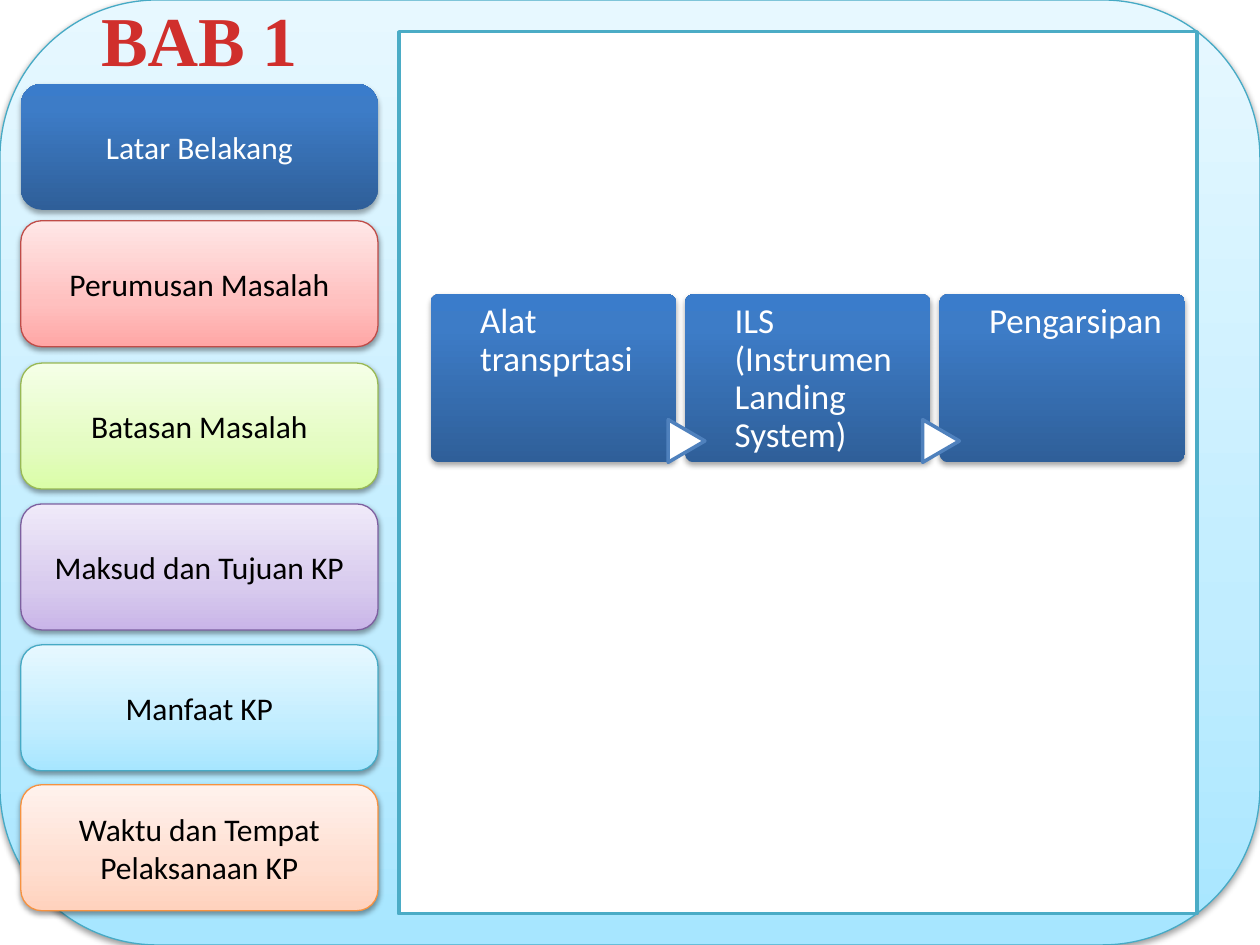
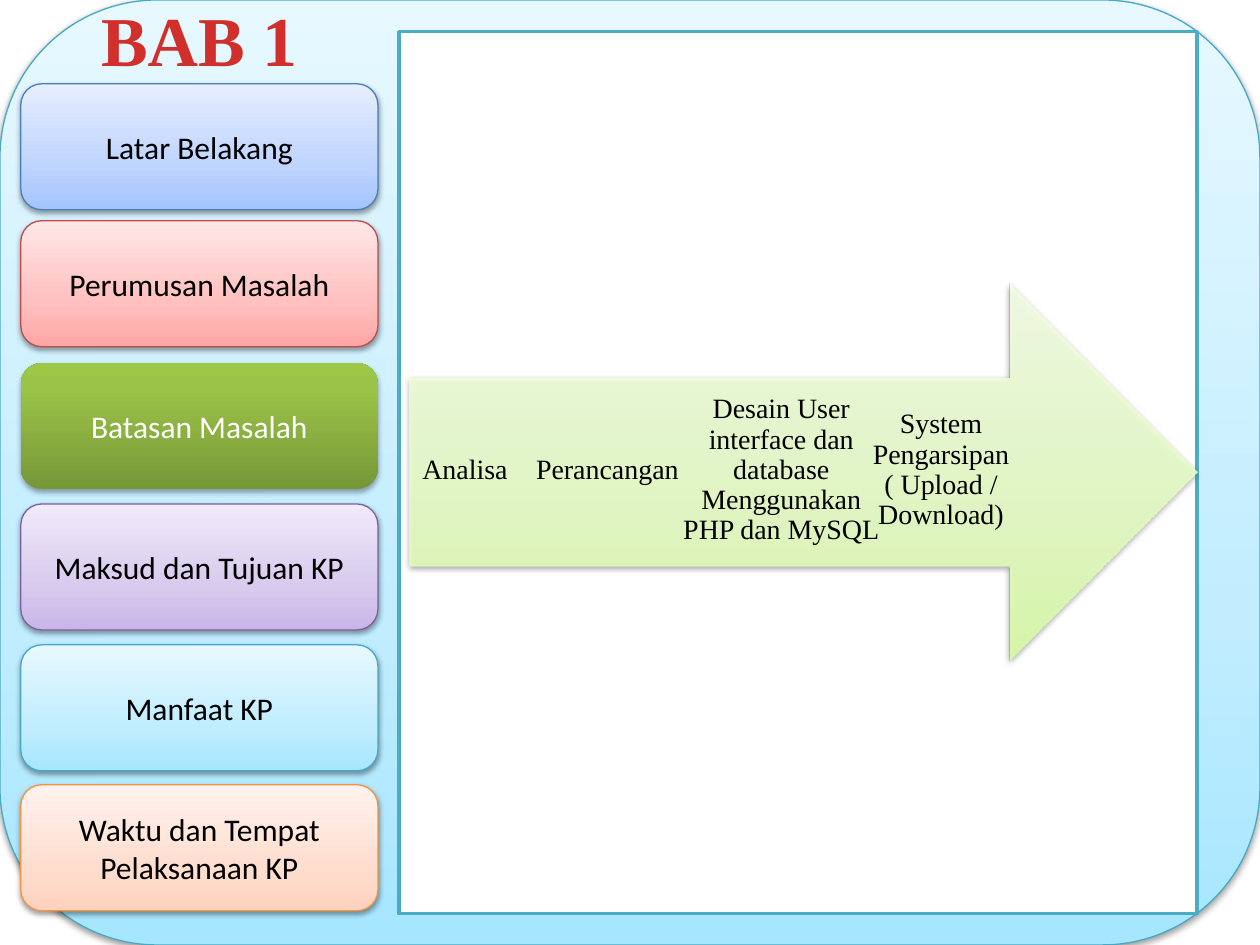
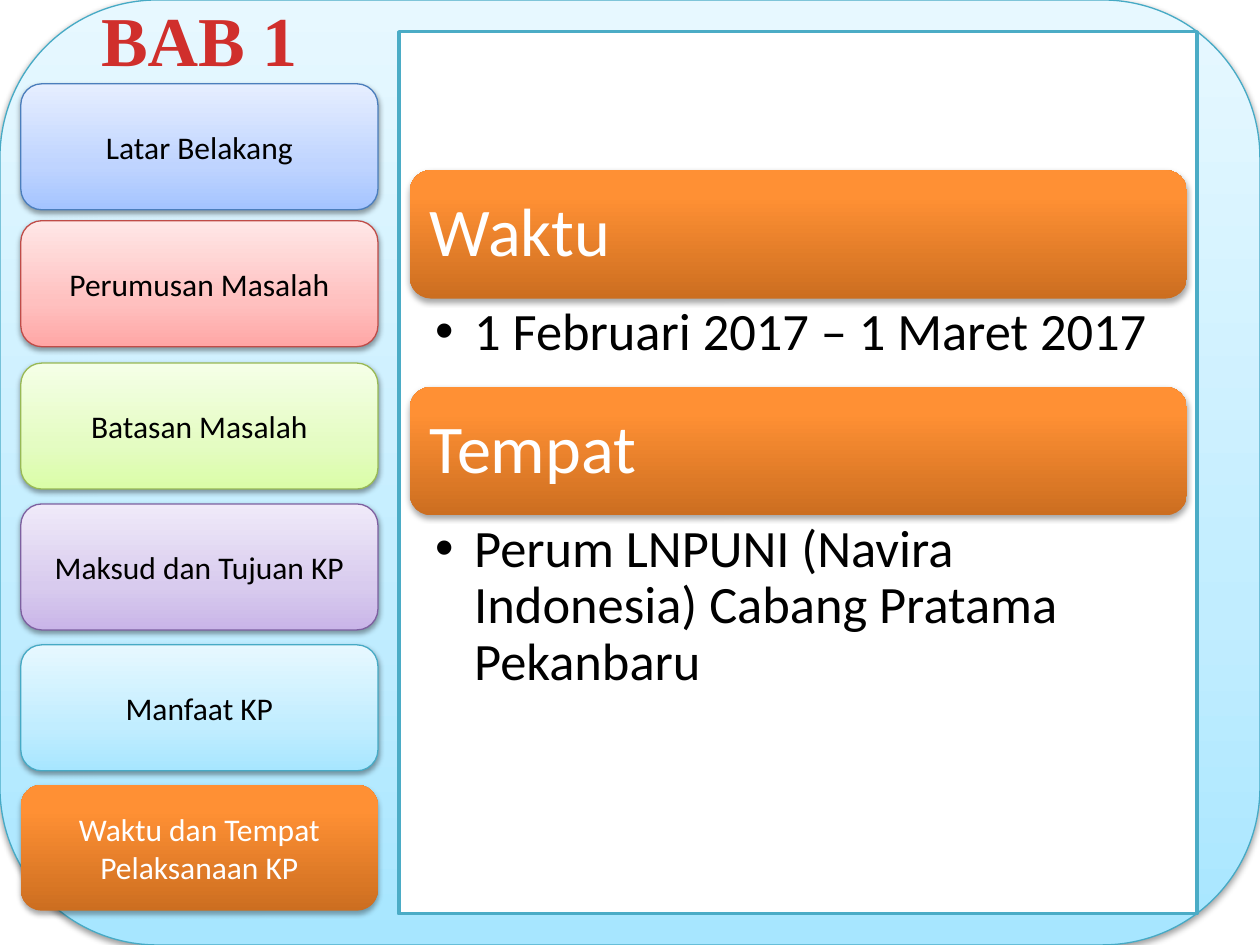
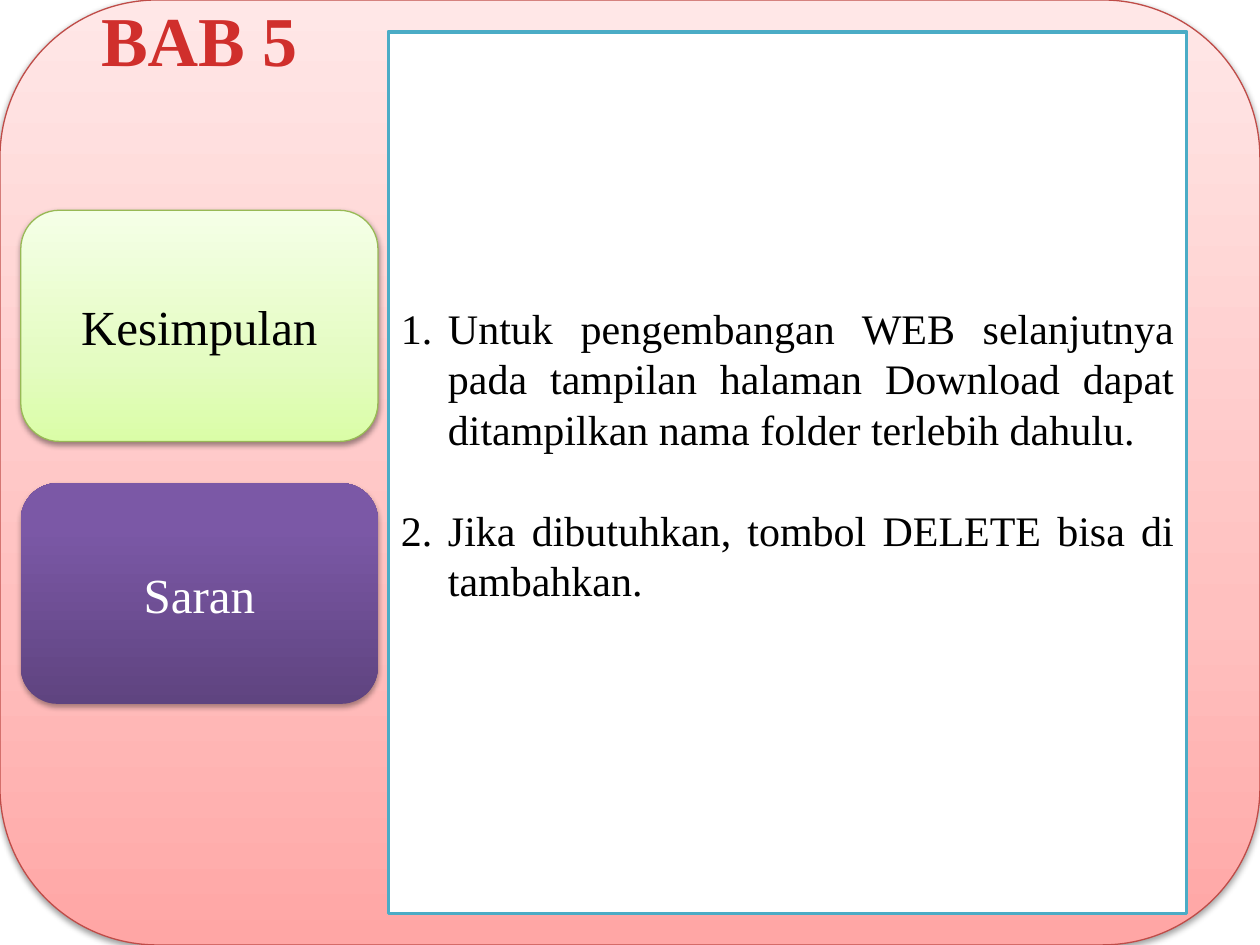
from pptx import Presentation
from pptx import util as u
from pptx.dml.color import RGBColor
from pptx.enum import shapes, text
from pptx.oxml import ns
from lxml import etree

SHAPE, ALIGN = shapes.MSO_SHAPE, text.PP_ALIGN
TOP, MIDDLE = text.MSO_ANCHOR.TOP, text.MSO_ANCHOR.MIDDLE
SANS, SERIF = "Calibri", "Times New Roman"

# Colours: soft gradients run over 0/35/100 %, strong ones over 0/80/100 %
COLOR = {"black": "000000", "white": "FFFFFF", "frame": "4BACC6", "arrow": "4F81BD"}
SOFT = {
    "blue": ("A4C4FF", "BFD4FF", "E6EEFF"),
    "red": ("FFA6A5", "FFC0BF", "FFE7E7"),
    "green": ("DAFDA7", "E4FCC2", "F5FFE7"),
    "purple": ("C9B5E8", "D8CBEE", "F0EAF9"),
    "aqua": ("A7E6FF", "C1EDFF", "E7F8FF"),
    "orange": ("FFD2BD", "FFDED0", "FFF2ED"),
}
STRONG = {
    "blue": ("2F5F99", "3D7CC7", "3A7CCB"),
    "green": ("779737", "9BC348", "9DC746"),
    "purple": ("5F4480", "7B58A6", "7C57A8"),
    "orange": ("CC6E20", "FF9034", "FF9136"),
}
OUTLINE = {"blue": "4B7EBC", "red": "BF4C48", "green": "98B955",
           "purple": "7D60A0", "aqua": "46AAC5", "orange": "F69240"}
TITLE_COLORS = ("FC7C7A", "D02F2C", "C70500")

# Content (positions in cm)
MENU_1 = [  # label, colour, top, height
    ("Latar Belakang", "blue", 1.69, 2.54),
    ("Perumusan Masalah", "red", 4.45, 2.54),
    ("Batasan Masalah", "green", 7.32, 2.54),
    ("Maksud dan Tujuan KP", "purple", 10.16, 2.54),
    ("Manfaat KP", "aqua", 13, 2.54),
    ("Waktu dan Tempat Pelaksanaan KP", "orange", 15.82, 2.54),
]
MENU_5 = [("Kesimpulan", "green", 4.24, 4.66), ("Saran", "purple", 9.74, 4.45)]
BACKGROUND_STEPS = ["Alat transprtasi", "ILS (Instrumen Landing System)", "Pengarsipan"]
SCOPE = [  # label, left, width
    ("Analisa", 8.36, 2.03),
    ("Perancangan", 10.72, 3.05),
    ("Desain User interface dan database Menggunakan PHP dan MySQL", 13.75, 4),
    ("System Pengarsipan ( Upload / Download)", 17.57, 2.8),
]
SCHEDULE = [  # heading, detail, top, height of detail
    ("Waktu", "1 Februari 2017 – 1 Maret 2017", 3.43, 1.8),
    ("Tempat", "Perum LNPUNI (Navira Indonesia) Cabang Pratama Pekanbaru", 7.8, 3.81),
]
SUGGESTIONS = [
    "Untuk pengembangan WEB selanjutnya pada tampilan halaman Download dapat "
    "ditampilkan nama folder terlebih dahulu.",
    "Jika dibutuhkan, tombol DELETE bisa di tambahkan.",
]

SLIDE_W, SLIDE_H = 25.4, 19.05
FRAME_TOP, FRAME_W, FRAME_H = 0.64, 16.09, 17.78
TITLE_ONLY, TITLE_BODY, TITLE_TWO_BODIES = 5, 1, 3


def sub(parent, tag, **attrs):
    return etree.SubElement(parent, ns.qn(tag), {k: str(v) for k, v in attrs.items()})


def gradient(fill, parent, colors, middle, angle, alpha=100):
    fill.gradient()
    grad = parent.find(ns.qn("a:gradFill"))
    for child in list(grad):
        grad.remove(child)
    stops = sub(grad, "a:gsLst")
    for pos, color in zip((0, middle, 100), colors):
        stop = sub(sub(stops, "a:gs", pos=pos * 1000), "a:srgbClr", val=color)
        if alpha < 100:
            sub(stop, "a:alpha", val=alpha * 1000)
    sub(grad, "a:lin", ang=angle * 60000, scaled=0)


def place(sp, left, top, width, height):
    sp.left, sp.top, sp.width, sp.height = map(u.Cm, (left, top, width, height))


def add(s, kind, *box):
    sp = s.shapes.add_shape(kind, *map(u.Cm, box))
    sp.shadow.inherit = False
    return sp


def outline(sp, color, width):
    sp.line.color.rgb = RGBColor.from_string(color)
    sp.line.width = u.Pt(width)


def solid(sp, fill, line):
    sp.fill.solid()
    sp.fill.fore_color.rgb = RGBColor.from_string(fill)
    outline(sp, line, 2)


def glossy(s, kind, box, name, strong=False, line=True, alpha=100):
    """Shape with a vertical gradient and a soft shadow below."""
    sp = add(s, kind, *box)
    spPr = sp.element.spPr
    colors, middle = (STRONG[name], 80) if strong else (SOFT[name], 35)
    gradient(sp.fill, spPr, colors, middle, 270, alpha)
    if line and not strong:
        outline(sp, OUTLINE[name], 0.75)
    else:
        sp.line.fill.background()
    shadow = sub(spPr.find(ns.qn("a:effectLst")), "a:outerShdw", blurRad=40000,
                 dist=23000 if strong else 20000, dir=5400000, rotWithShape=0)
    sub(sub(shadow, "a:srgbClr", val=COLOR["black"]), "a:alpha",
        val=35000 if strong else 38000)
    return sp


def write(sp, lines, size, font=SANS, color="black", align=ALIGN.LEFT, anchor=MIDDLE,
          margins=(0.25, 0.13, 0.25, 0.13), spacing=None, bullet=None, gap=0):
    tf = sp.text_frame
    tf.word_wrap = True
    tf.auto_size = text.MSO_AUTO_SIZE.NONE
    tf.vertical_anchor = anchor
    tf.margin_left, tf.margin_top, tf.margin_right, tf.margin_bottom = map(u.Cm, margins)
    for i, line in enumerate(lines):
        p = tf.add_paragraph() if i else tf.paragraphs[0]
        if bullet:
            tag, attrs, bullet_font, indent = bullet
            pPr = p._p.get_or_add_pPr()
            pPr.set("marL", str(u.Cm(indent)))
            pPr.set("indent", str(-u.Cm(indent)))
            sub(pPr, "a:buFont", typeface=bullet_font)
            sub(pPr, tag, **attrs)
        p.alignment = align
        p.space_before = u.Pt(gap if i else 0)
        if spacing:
            p.line_spacing = spacing
        r = p.add_run()
        r.text = line
        r.font.size, r.font.name = u.Pt(size), font
        r.font.color.rgb = RGBColor.from_string(COLOR[color])


def chapter_slide(prs, layout, title, theme, menu, active, size, font, frame_left=None):
    """Backdrop, chapter title, side menu and white content frame."""
    s = prs.slides.add_slide(prs.slide_layouts[layout])
    back = [glossy(s, SHAPE.ROUNDED_RECTANGLE, (0, 0, SLIDE_W, SLIDE_H), theme)]
    if frame_left:
        frame = add(s, SHAPE.RECTANGLE, frame_left, FRAME_TOP, FRAME_W, FRAME_H)
        solid(frame, COLOR["white"], COLOR["frame"])
        back.append(frame)
    for i, sp in enumerate(back):  # behind the placeholders
        sp.element.getparent().insert(2 + i, sp.element)

    heading = s.shapes.title
    place(heading, 1.69, -0.2, 4.65, 1.96)
    write(heading, [title], 40, SERIF, align=ALIGN.CENTER, anchor=TOP)
    r = heading.text_frame.paragraphs[0].runs[0]
    r.font.bold = True
    gradient(r.font.fill, r._r.rPr, TITLE_COLORS, 75, 90)

    for label, color, top, height in menu:
        on = label == active
        sp = glossy(s, SHAPE.ROUNDED_RECTANGLE, (0.42, top, 7.2, height), color, on)
        write(sp, [label], size, font, "white" if on else "black", ALIGN.CENTER)
    return s


def chapter_1(prs, layout, active):
    return chapter_slide(prs, layout, "BAB 1", "aqua", MENU_1, active, 18, SANS, 8.04)


def background_slide(prs):
    s = chapter_1(prs, TITLE_ONLY, "Latar Belakang")
    pitch = 5.13
    for i, step in enumerate(BACKGROUND_STEPS):
        card = glossy(s, SHAPE.ROUNDED_RECTANGLE, (8.68 + i * pitch, 5.93, 4.95, 3.39),
                      "blue", strong=True)
        card.adjustments[0] = 0.05
        write(card, [step], 20, color="white", anchor=TOP,
              margins=(0.95, 0.14, 0.19, 0), spacing=0.9)
    for i in range(len(BACKGROUND_STEPS) - 1):
        arrow = add(s, SHAPE.FLOWCHART_EXTRACT, 13.41 + i * pitch, 8.52, 0.86, 0.74)
        arrow.rotation = 90
        solid(arrow, COLOR["white"], COLOR["arrow"])


def scope_slide(prs):
    s = chapter_1(prs, TITLE_ONLY, "Batasan Masalah")
    glossy(s, SHAPE.RIGHT_ARROW, (8.26, 5.72, 15.88, 7.59), "green", line=False, alpha=90)
    for label, left, width in SCOPE:
        tb = s.shapes.add_textbox(*map(u.Cm, (left, 7.12, width, 4.72)))
        write(tb, [label], 16, SERIF, align=ALIGN.CENTER,
              margins=(0, 0.46, 0, 0.46), spacing=0.9)


def schedule_slide(prs):
    s = chapter_1(prs, TITLE_TWO_BODIES, "Waktu dan Tempat Pelaksanaan KP")
    left, width, bar_h = 8.26, 15.67, 2.59
    for i, (heading, detail, top, height) in enumerate(SCHEDULE):
        bar = glossy(s, SHAPE.ROUNDED_RECTANGLE, (left, top, width, bar_h),
                     "orange", strong=True)
        write(bar, [heading], 39, color="white", margins=(0.28,) * 4, spacing=0.9)
        body = s.placeholders[i + 1]
        place(body, left, top + bar_h, width, height)
        write(body, [detail], 30, anchor=TOP, margins=(0.51, 0.13, 0.76, 0.13),
              spacing=0.9, bullet=("a:buChar", {"char": "•"}, "Arial", 0.79))


def suggestions_slide(prs):
    s = chapter_slide(prs, TITLE_BODY, "BAB 5", "red", MENU_5, "Saran", 28, SERIF)
    body = s.placeholders[1]
    place(body, 7.83, FRAME_TOP, FRAME_W, FRAME_H)
    solid(body, COLOR["white"], COLOR["frame"])
    write(body, SUGGESTIONS, 24, SERIF, align=ALIGN.JUSTIFY,
          margins=(0.25, 0.13, 0.25, 0.89), gap=29,
          bullet=("a:buAutoNum", {"type": "arabicPeriod"}, SERIF, 0.95))


def main():
    prs = Presentation()
    prs.slide_width, prs.slide_height = u.Cm(SLIDE_W), u.Cm(SLIDE_H)
    for build in (background_slide, scope_slide, schedule_slide, suggestions_slide):
        build(prs)
    prs.save("out.pptx")


if __name__ == "__main__":
    main()
